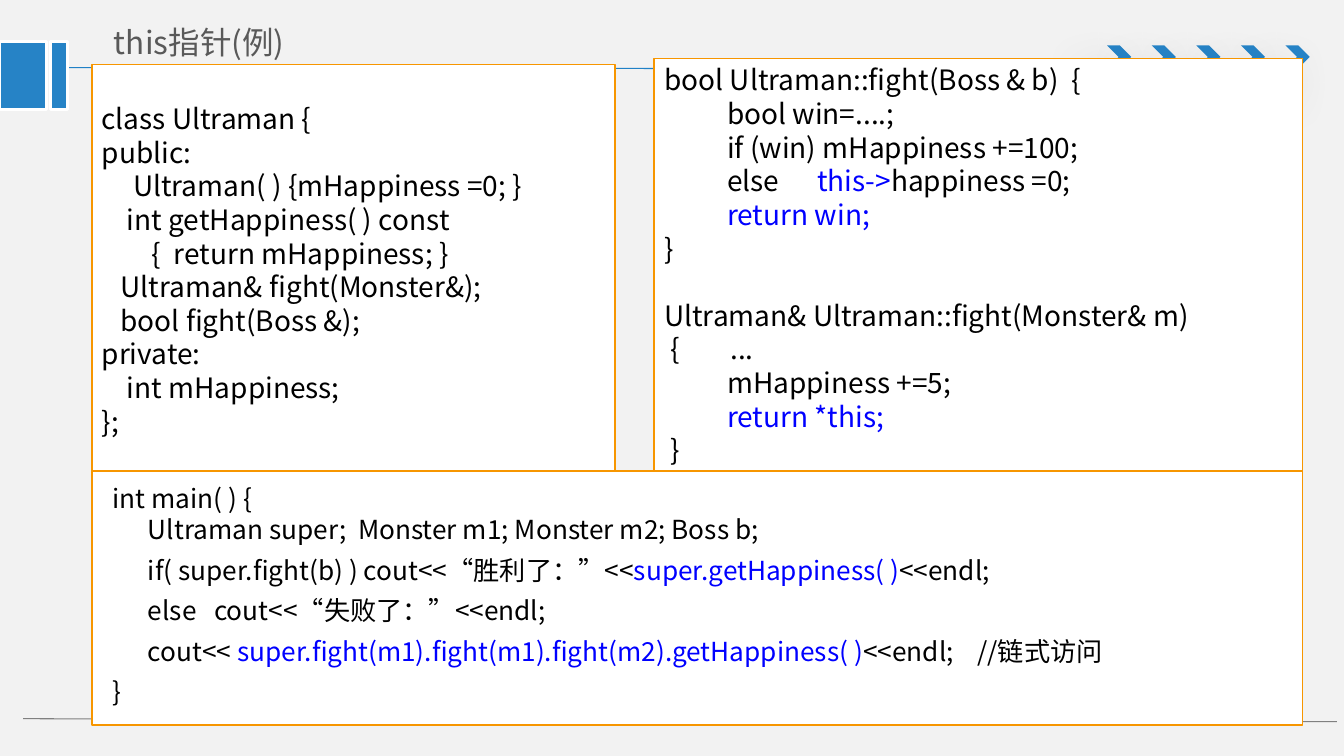
"""Build the slide on the this pointer, with three code panels."""
from lxml.etree import SubElement
from pptx import Presentation
from pptx.dml.color import RGBColor
from pptx.enum.shapes import MSO_CONNECTOR, MSO_SHAPE
from pptx.enum.text import MSO_ANCHOR, PP_ALIGN
from pptx.oxml import parse_xml
from pptx.oxml.ns import nsdecls, qn
from pptx.util import Inches, Pt

FONT = "Noto Sans CJK SC"
BACKGROUND = RGBColor(0xF2, 0xF2, 0xF2)
WHITE = RGBColor(0xFF, 0xFF, 0xFF)
BLACK = RGBColor(0, 0, 0)
ACCENT = RGBColor(0x26, 0x83, 0xC6)
HEADER_LINE = RGBColor(0x21, 0x81, 0xC6)
FOOTER_LINE = RGBColor(0x80, 0x80, 0x80)
ORANGE = RGBColor(0xF7, 0x96, 0x00)
HIGHLIGHT = RGBColor(0, 0, 0xFF)
TITLE_GREY = RGBColor(0x59, 0x59, 0x59)

CLASS_CODE = """class Ultraman {
public:
     Ultraman( ) {mHappiness =0; }
    int getHappiness( ) const
        {  return mHappiness; }
   Ultraman& fight(Monster&);
   bool fight(Boss &);
private:
    int mHappiness;
};"""

BOSS_CODE = """bool Ultraman::fight(Boss & b)  {
          bool win=....;
          if (win) mHappiness +=100;
          else      |this->|happiness =0;
          |return win;|
}"""

MONSTER_CODE = """Ultraman& Ultraman::fight(Monster& m)
 {        ...
          mHappiness +=5;
          |return *this;|
 }"""

MAIN_HEAD = """int main( ) {
      Ultraman super;  Monster m1; Monster m2; Boss b;"""

MAIN_BODY = """      if( super.fight(b) ) cout<<“胜利了：”<<|super.getHappiness( )|<<endl;
      else   cout<<“失败了：”<<endl;
      cout<< |super.fight(m1).fight(m1).fight(m2).getHappiness( )|<<endl;    //链式访问
}"""


def format_run(run, size, color):
    """Give a run its font, size and colour."""
    run.font.name = FONT
    run.font.size = Pt(size)
    run.font.color.rgb = color
    SubElement(run.font._element, qn("a:ea")).set("typeface", FONT)


def add_box(slide, kind, box, fill, line=None, line_width=0):
    """Add a flat preset shape."""
    shape = slide.shapes.add_shape(kind, *map(Inches, box))
    shape.shadow.inherit = False
    shape.fill.solid()
    shape.fill.fore_color.rgb = fill
    if line is None:
        shape.line.fill.background()
    else:
        shape.line.color.rgb = line
        shape.line.width = Pt(line_width)
    return shape


def add_line(slide, start, end, color):
    """Add a thin straight line."""
    line = slide.shapes.add_connector(
        MSO_CONNECTOR.STRAIGHT, *map(Inches, start + end))
    line.line.color.rgb = color
    line.line.width = Pt(0.75)
    SubElement(line._element.spPr, qn("a:effectLst"))


def add_chevron(slide, left):
    """Add a header chevron with a soft shadow."""
    shape = add_box(slide, MSO_SHAPE.CHEVRON, (left, 0.45, 0.24, 0.23), ACCENT)
    effects = shape._element.spPr.find(qn("a:effectLst"))
    effects.append(parse_xml(
        f'<a:outerShdw {nsdecls("a")} blurRad="{Pt(36)}" dist="{Pt(24)}" '
        'dir="7800000" rotWithShape="0"><a:srgbClr val="000000">'
        '<a:alpha val="38000"/></a:srgbClr></a:outerShdw>'))


def add_code(shape, blocks, size, anchor):
    """Write (code, line pitch, space before) blocks; bars enclose highlights."""
    frame = shape.text_frame
    frame.word_wrap = True
    frame.vertical_anchor = anchor
    paragraph = None
    for code, pitch, gap in blocks:
        for index, line in enumerate(code.split("\n")):
            paragraph = frame.add_paragraph() if paragraph else frame.paragraphs[0]
            paragraph.alignment = PP_ALIGN.LEFT
            paragraph.line_spacing = Pt(pitch)
            if gap and index == 0:
                paragraph.space_before = Pt(gap)
            for part, text in enumerate(line.split("|")):
                if text:
                    run = paragraph.add_run()
                    run.text = text
                    format_run(run, size, HIGHLIGHT if part % 2 else BLACK)


def add_title(slide, text):
    """Place and format the title."""
    title = slide.shapes.title
    title.left, title.top, title.width, title.height = map(
        Inches, (0.99, 0.14, 4.63, 0.55))
    frame = title.text_frame
    frame.text = text
    frame.vertical_anchor = MSO_ANCHOR.MIDDLE
    frame.margin_left = frame.margin_right = Inches(0.14)
    frame.margin_top = frame.margin_bottom = Inches(0.07)
    frame.paragraphs[0].alignment = PP_ALIGN.LEFT
    format_run(frame.paragraphs[0].runs[0], 22.5, TITLE_GREY)


def add_decoration(slide):
    """Add the rules, chevrons and side blocks."""
    add_line(slide, (0.53, 0.67), (12.62, 0.69), HEADER_LINE)
    for index in range(5):
        add_chevron(slide, 10.98 + 0.4425 * index)
    add_line(slide, (0.23, 7.13), (13.26, 7.16), FOOTER_LINE)
    for left, width in ((0, 0.46), (0.5, 0.17)):
        add_box(slide, MSO_SHAPE.RECTANGLE, (left, 0.41, width, 0.68),
                ACCENT, WHITE, 2)


def main():
    """Build and save the slide."""
    presentation = Presentation()
    presentation.slide_width = Inches(13.33)
    presentation.slide_height = Inches(7.5)
    slide = presentation.slides.add_slide(presentation.slide_layouts[5])
    slide.background.fill.solid()
    slide.background.fill.fore_color.rgb = BACKGROUND
    add_decoration(slide)
    add_title(slide, "this指针(例)")

    rectangle = MSO_SHAPE.RECTANGLE
    class_panel = add_box(slide, rectangle, (0.91, 0.64, 5.19, 4.07),
                          WHITE, ORANGE, 1.25)
    add_code(class_panel, [(CLASS_CODE, 24, 0)], 20, MSO_ANCHOR.MIDDLE)
    add_box(slide, rectangle, (0.91, 4.67, 12.01, 2.52), WHITE, ORANGE, 1.25)
    main_panel = add_box(slide, rectangle, (1.02, 4.74, 11.34, 2.36), WHITE)
    add_code(main_panel, [(MAIN_HEAD, 22.2, 0), (MAIN_BODY, 28.9, 0)],
             18.7, MSO_ANCHOR.TOP)
    fight_panel = add_box(slide, rectangle, (6.49, 0.58, 6.43, 4.09),
                          WHITE, ORANGE, 1.25)
    add_code(fight_panel, [(BOSS_CODE, 24, 0), (MONSTER_CODE, 24, 24)],
             20, MSO_ANCHOR.MIDDLE)
    presentation.save("out.pptx")


if __name__ == "__main__":
    main()
